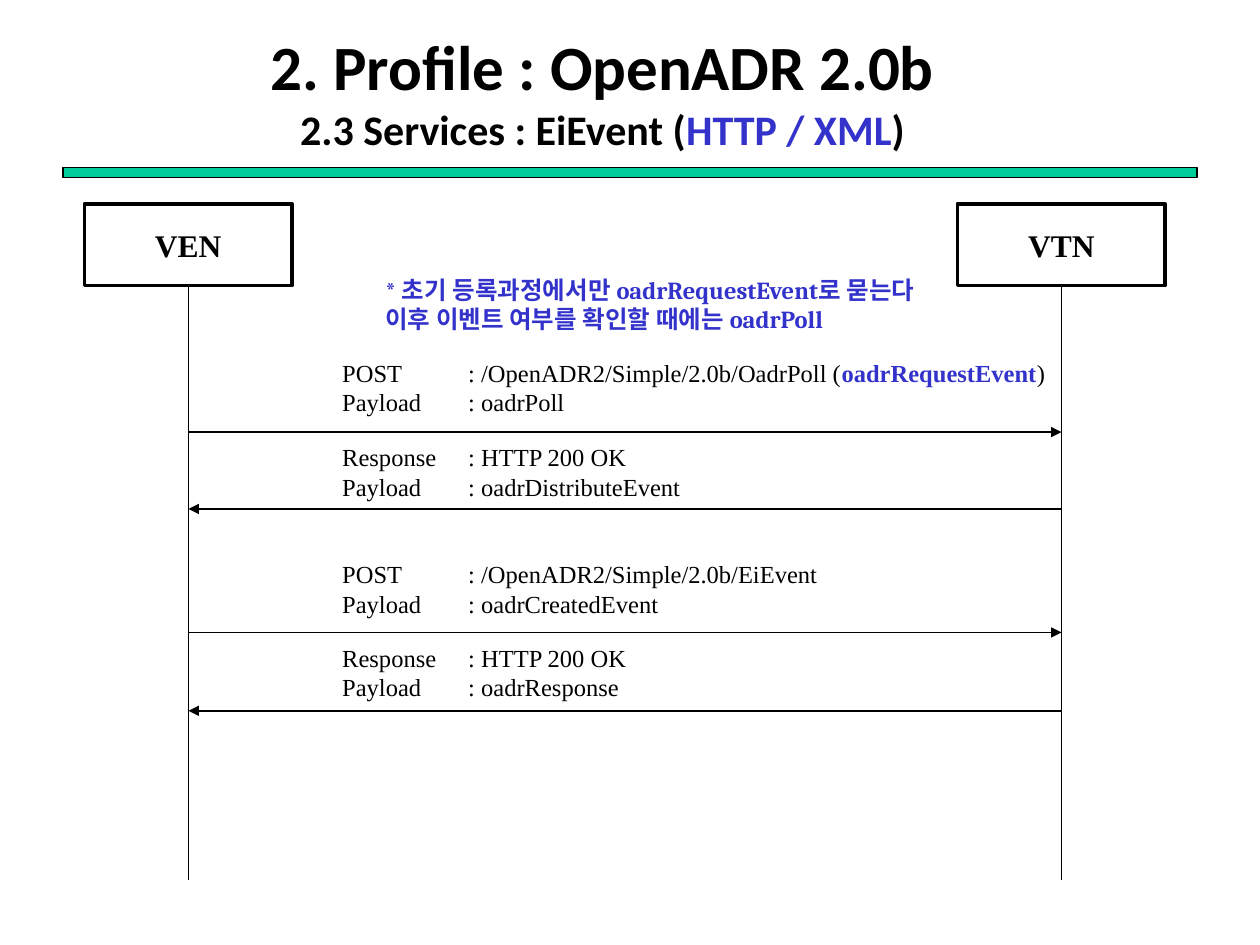
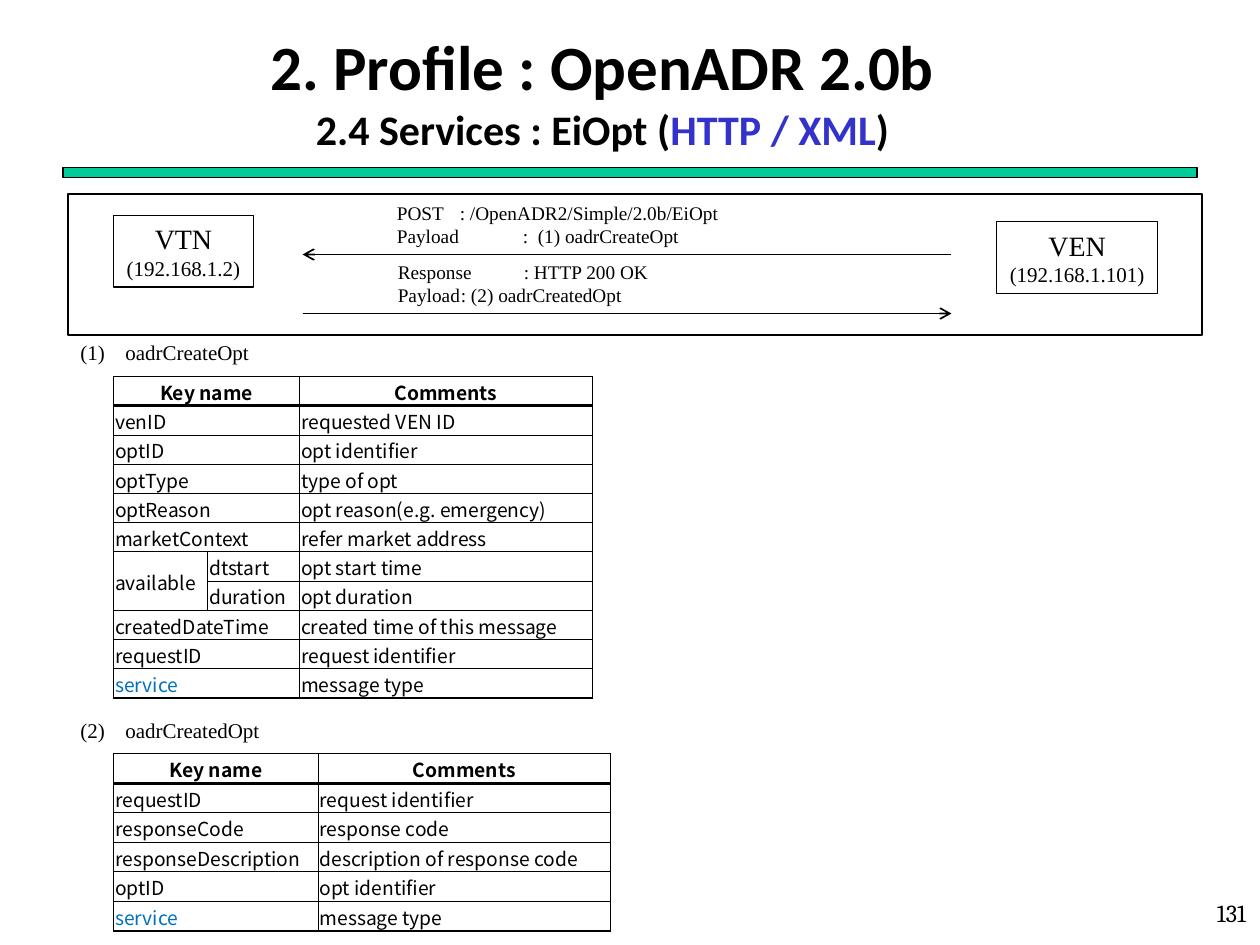
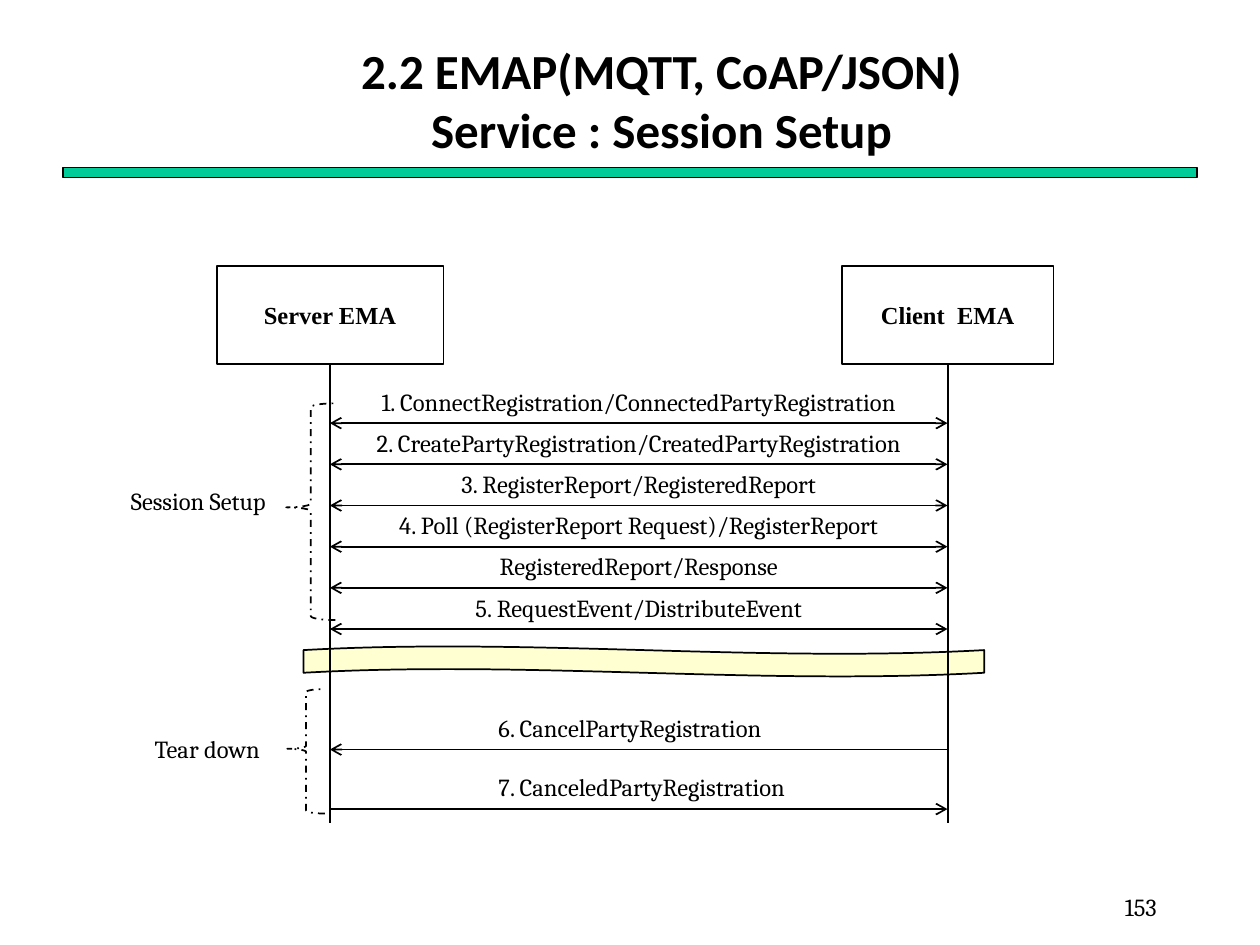
from dataclasses import dataclass
from pptx import Presentation
from pptx import util as u
from pptx.dml.color import RGBColor
from pptx.enum import dml, shapes, text
from pptx.oxml import ns, xmlchemy as xml

Cm, Pt = u.Cm, u.Pt
MID = text.MSO_ANCHOR.MIDDLE
LEFT, MIDDLE, RIGHT = text.PP_ALIGN.LEFT, text.PP_ALIGN.CENTER, text.PP_ALIGN.RIGHT
KIND = shapes.MSO_SHAPE


@dataclass(frozen=True)
class Theme:
    ink: str = "000000"
    paper: str = "FFFFFF"
    band: str = "00CC99"
    hot: str = "3333CC"
    link: str = "0070C0"
    wave: str = "FFFFD1"
    head: str = "Calibri"
    body: str = "Times New Roman"
    note: str = "Cambria"
    grid: str = "Noto Sans CJK KR"
    big: int = 36
    sub: int = 24
    duo: int = 28
    role: int = 18
    host: int = 16
    base: int = 14
    small: int = 12
    tiny: int = 11
    thin: float = 0.75
    line: float = 1
    bold: float = 2
    hair: float = 0.5


T = Theme()

PROFILE = "2. Profile : OpenADR 2.0b"
HTTP = ("HTTP / XML", T.hot)

EVENT = {
    "title": [PROFILE, ["2.3 Services : EiEvent (", HTTP, ")"]],
    "roles": [("VEN", 1.7), ("VTN", 19.3)],
    "note": ["* 초기 등록과정에서만 oadrRequestEvent로 묻는다",
             "이후 이벤트 여부를 확인할 때에는 oadrPoll"],
    "steps": [
        (8.71, 7.09, 14.78, "tail",
         [["POST \t: /OpenADR2/Simple/2.0b/OadrPoll (", ("oadrRequestEvent", T.hot), ")"],
          "Payload \t: oadrPoll"]),
        (10.26, 8.79, 7.39, "head",
         ["Response\t: HTTP 200 OK", "Payload\t: oadrDistributeEvent"]),
        (12.75, 11.15, 10.41, "tail",
         ["POST \t: /OpenADR2/Simple/2.0b/EiEvent", "Payload \t: oadrCreatedEvent"]),
        (14.33, 12.83, 6.45, "head",
         ["Response\t: HTTP 200 OK", "Payload\t: oadrResponse"]),
    ],
}

OPT = {
    "title": [PROFILE, ["2.4 Services : EiOpt (", HTTP, ")"]],
    "page": "131",
    "hosts": [("VTN", "(192.168.1.2)", 2.29, 4.34, 2.82),
              ("VEN", "(192.168.1.101)", 20.09, 4.47, 3.25)],
    "steps": [
        (5.13, 7.75, 3.94, 8.41, "head",
         ["POST \t: /OpenADR2/Simple/2.0b/EiOpt", "Payload \t:  (1) oadrCreateOpt"]),
        (6.32, 7.77, 5.13, 6.32, "tail",
         ["Response\t: HTTP 200 OK", "Payload\t: (2) oadrCreatedOpt"]),
    ],
    "tables": [
        ("(1)\toadrCreateOpt", 6.73, 7.59, 6.48, [1.9, 1.85, 5.9], [
            ("Key name", None, "Comments"),
            ("venID", None, "requested VEN ID"),
            ("optID", None, "opt identifier"),
            ("optType", None, "type of opt"),
            ("optReason", None, "opt reason(e.g. emergency)"),
            ("marketContext", None, "refer market address"),
            ("available", "dtstart", "opt start time"),
            (None, "duration", "opt duration"),
            ("createdDateTime", None, "created time of this message"),
            ("requestID", None, "request identifier"),
            ("service", None, "message type")]),
        ("(2)\toadrCreatedOpt", 14.35, 15.19, 3.58, [4.12, 5.9], [
            ("Key name", "Comments"),
            ("requestID", "request identifier"),
            ("responseCode", "response code"),
            ("responseDescription", "description of response code"),
            ("optID", "opt identifier"),
            ("service", "message type")]),
    ],
}

SETUP = {
    "title": ["2.2 EMAP(MQTT, CoAP/JSON)", "Service : Session Setup"],
    "page": "153",
    "roles": [("Server EMA", 4.37, 4.57), ("Client  EMA", 16.97, 4.27)],
    "calls": [("1. ConnectRegistration/ConnectedPartyRegistration", 11.58),
              ("2. CreatePartyRegistration/CreatedPartyRegistration", 12.14),
              ("3. RegisterReport/RegisteredReport", 8.2),
              ("4. Poll (RegisterReport Request)/RegisterReport", 10.82),
              ("RegisteredReport/Response", 6.63),
              ("5. RequestEvent/DistributeEvent", 7.54)],
    "ends": [("6. CancelPartyRegistration", 6.15, 15.11, "head"),
             ("7. CanceledPartyRegistration", 6.68, 16.31, "tail")],
    "phases": [("Session Setup", (2.39, 9.68, 3.45, 0.86), (5.77, 8.13, 0.99, 4.37)),
               ("Tear down", (2.87, 14.68, 2.77, 0.86), (5.79, 13.89, 0.76, 2.51))],
}


def rgb(code):
    return RGBColor.from_string(code)


def write(frame, lines, sizes, face=T.body, bold=False, align=LEFT, tint=T.ink, hang=0):
    for i, line in enumerate(lines):
        para = frame.paragraphs[0] if i == 0 else frame.add_paragraph()
        para.alignment = align
        if hang:
            props = para._p.get_or_add_pPr()
            props.set("marL", str(Cm(hang)))
            props.set("indent", str(-Cm(hang)))
        font = para.font
        font.size = Pt(sizes[i] if isinstance(sizes, tuple) else sizes)
        font.name, font.bold, font.color.rgb = face, bold, rgb(tint)
        for part in [line] if isinstance(line, str) else line:
            run = para.add_run()
            if isinstance(part, str):
                run.text = part
            else:
                run.text = part[0]
                run.font.color.rgb, run.font.bold = rgb(part[1]), True


def label(page, spot, lines, sizes, fit=True, anchor=None, **style):
    frame = page.shapes.add_textbox(*map(Cm, spot)).text_frame
    frame.word_wrap = not fit
    if fit:
        frame.auto_size = text.MSO_AUTO_SIZE.SHAPE_TO_FIT_TEXT
    if anchor is not None:
        frame.vertical_anchor = anchor
    write(frame, lines, sizes, **style)


def block(page, spot, fill=None, width=T.line, kind=KIND.RECTANGLE):
    item = page.shapes.add_shape(kind, *map(Cm, spot))
    item.shadow.inherit = False
    if fill:
        item.fill.solid()
        item.fill.fore_color.rgb = rgb(fill)
    else:
        item.fill.background()
    item.line.color.rgb = rgb(T.ink)
    item.line.width = Pt(width)
    return item


def role(page, spot, lines, sizes, bold=True, **look):
    item = block(page, spot, **look)
    frame = item.text_frame
    frame.word_wrap = False
    frame.vertical_anchor = MID
    write(frame, lines, sizes, bold=bold, align=MIDDLE)
    return item


def link(page, start, end, width, ends=(), tip="arrow", box=None):
    item = page.shapes.add_connector(
        shapes.MSO_CONNECTOR.STRAIGHT, *map(Cm, start + end))
    if box is not None:
        item.begin_connect(box, 2)
        item.end_x = item.begin_x
    item.line.color.rgb = rgb(T.ink)
    item.line.width = Pt(width)
    pen = item.line._get_or_add_ln()
    for side in ("head", "tail"):
        if side in ends:
            node = xml.OxmlElement(f"a:{side}End")
            node.set("type", tip)
            pen.append(node)
    item._element.spPr.append(xml.OxmlElement("a:effectLst"))


def life(page, box, foot):
    x = (box.left + box.width / 2) / Cm(1)
    y = (box.top + box.height) / Cm(1)
    link(page, (x, y), (x, foot), T.thin if foot > 17 else T.line, box=box)


def start(deck, data, sizes, left=0.08, top=0.66):
    page = deck.slides.add_slide(deck.slide_layouts[6])
    block(page, (1.27, 3.38, 22.86, 0.2), T.band, T.thin)
    label(page, (left, top, 24.13, 2.34), data["title"], sizes, fit=False,
          anchor=MID, face=T.head, bold=True, align=MIDDLE)
    return page


def number(page, data, left, top):
    label(page, (left, top, 5.28, 1.07), [data["page"]], T.base, fit=False,
          face=T.note, align=RIGHT)


def border(cell, widths):
    props = cell._tc.get_or_add_tcPr()
    for i, (side, width) in enumerate(zip("LRTB", widths)):
        pen = xml.OxmlElement(f"a:ln{side}")
        pen.set("w", str(Pt(width)))
        fill = xml.OxmlElement("a:solidFill")
        tint = xml.OxmlElement("a:srgbClr")
        tint.set("val", T.ink)
        fill.append(tint)
        pen.append(fill)
        props.insert(i, pen)


def grid(page, top, height, cols, rows):
    count, last = len(rows), len(cols) - 1
    table = page.shapes.add_table(
        count, last + 1, Cm(2.29), Cm(top), Cm(sum(cols)), Cm(height)).table
    table.first_row = table.horz_banding = False
    for col, width in zip(table.columns, cols):
        col.width = Cm(width)
    for r, row in enumerate(rows):
        table.rows[r].height = Cm(height / count)
        for c, word in enumerate(row):
            cell = table.cell(r, c)
            cell.fill.background()
            cell.vertical_anchor = MID
            cell.margin_left = cell.margin_right = cell.margin_top = Cm(0.03)
            cell.margin_bottom = 0
            border(cell, (T.line if c == 0 else T.hair,
                          T.line if c == last else T.hair,
                          T.line if r == 0 else T.bold if r == 1 else T.hair,
                          T.bold if r == 0 else T.line if r == count - 1 else T.hair))
            write(cell.text_frame, [word or ""], T.tiny, face=T.grid, bold=r == 0,
                  align=LEFT if r else MIDDLE,
                  tint=T.link if word == "service" else T.ink)
    for r, row in enumerate(rows):
        if row[0] is None:
            table.cell(r - 1, 0).merge(table.cell(r, 0))
        elif row[1] is None:
            table.cell(r, 0).merge(table.cell(r, 1))


def event(deck):
    page = start(deck, EVENT, (T.big, T.sub))
    for name, left in EVENT["roles"]:
        box = role(page, (left, 4.11, 4.19, 1.65), [name], T.role, width=T.bold)
        life(page, box, 17.73)
    for y, top, width, ends, lines in EVENT["steps"]:
        link(page, (3.8, y), (21.4, y), T.thin, (ends,), "triangle")
        label(page, (6.65, top, width, 1.45), lines, T.base)
    label(page, (7.52, 5.41, 11.89, 1.45), EVENT["note"], T.base,
          face=T.note, bold=True, tint=T.hot)


def opt(deck):
    page = start(deck, OPT, (T.big, T.sub))
    number(page, OPT, 20.09, 17.98)
    block(page, (1.37, 3.91, 22.86, 2.84), T.paper)
    for name, host, left, top, width in OPT["hosts"]:
        role(page, (left, top, width, 1.45), [name, host], (T.host, T.small),
             bold=False, fill=T.paper, width=T.thin)
    for y, left, top, width, ends, lines in OPT["steps"]:
        link(page, (6.1, y), (19.18, y), T.line, (ends,))
        label(page, (left, top, width, 1.19), lines, T.tiny)
    for name, top, under, height, cols, rows in OPT["tables"]:
        label(page, (1.37, top, 17.55, 0.77), [name], T.small, fit=False, hang=0.91)
        grid(page, under, height, cols, rows)


def setup(deck):
    page = start(deck, SETUP, T.duo, 1.27, 0.84)
    number(page, SETUP, 18.29, 17.86)
    boxes = [role(page, (left, 5.36, width, 1.98), [name], T.base, fill=T.paper)
             for name, left, width in SETUP["roles"]]
    near, far = 6.65, 19.1
    for i, (name, width) in enumerate(SETUP["calls"]):
        y = 8.53 + 0.83 * i
        link(page, (near, y), (far, y), T.line, ("head", "tail"))
        label(page, (12.88 - width / 2, y - 0.86, width, 0.86), [name], T.base,
              face=T.note, align=MIDDLE)
    for name, width, y, ends in SETUP["ends"]:
        link(page, (near, y), (far, y), T.line, (ends,))
        label(page, (9.8, y - 0.87, width, 0.86), [name], T.base, face=T.note)
    for name, spot, span in SETUP["phases"]:
        brace = block(page, span, kind=KIND.RIGHT_BRACE)
        brace.rotation = 180
        brace.adjustments[0], brace.adjustments[1] = 0.08, 0.52
        brace.line.dash_style = dml.MSO_LINE.DASH_DOT
        label(page, spot, [name], T.base, face=T.note)
    block(page, (6.12, 13.03, 13.72, 0.61), T.wave, kind=KIND.WAVE)
    for box in boxes:
        life(page, box, 16.6)


def main():
    deck = Presentation()
    deck.slide_width, deck.slide_height = Cm(25.4), Cm(19.05)
    for draw in (event, opt, setup):
        draw(deck)
    deck.save("out.pptx")


if __name__ == "__main__":
    main()
